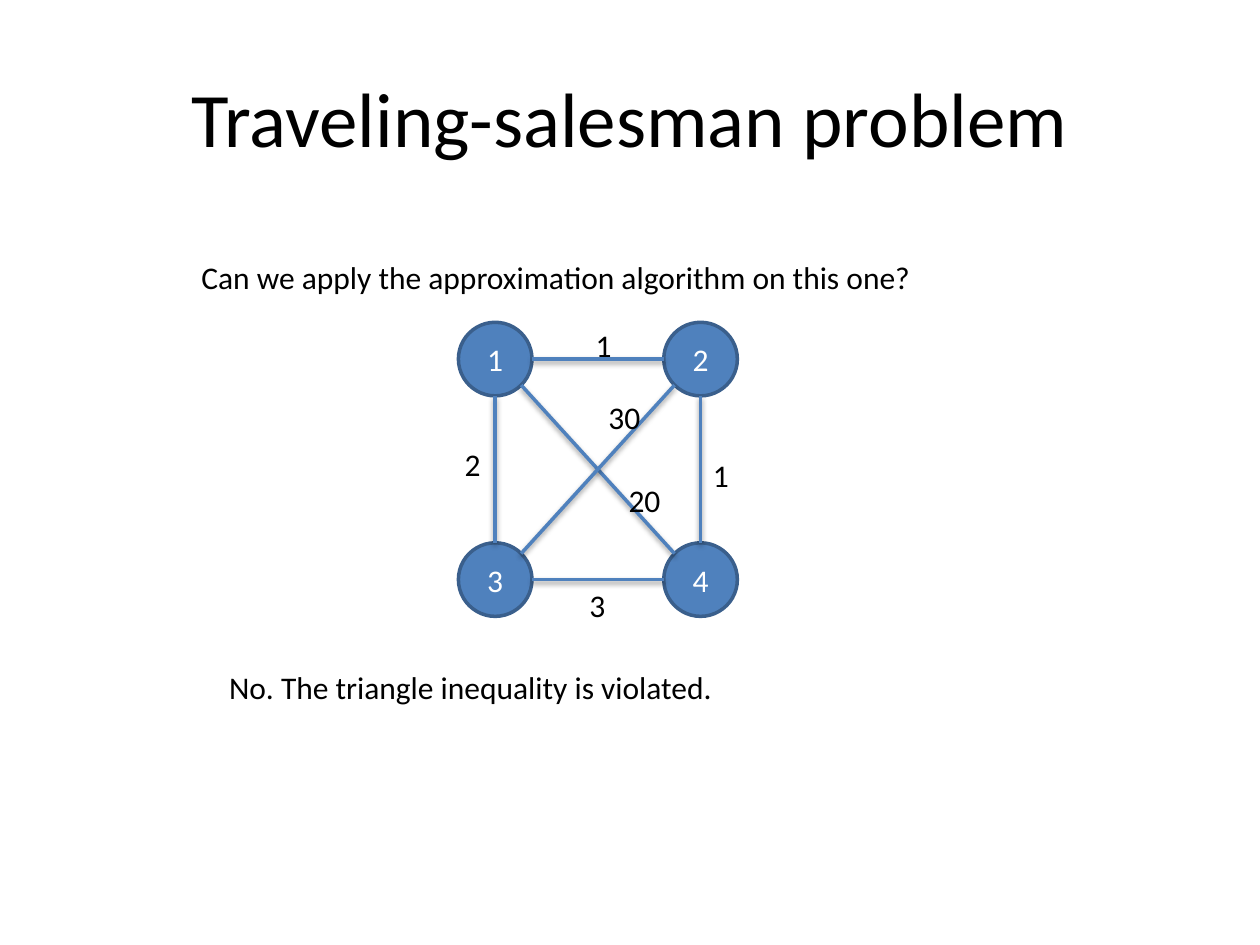
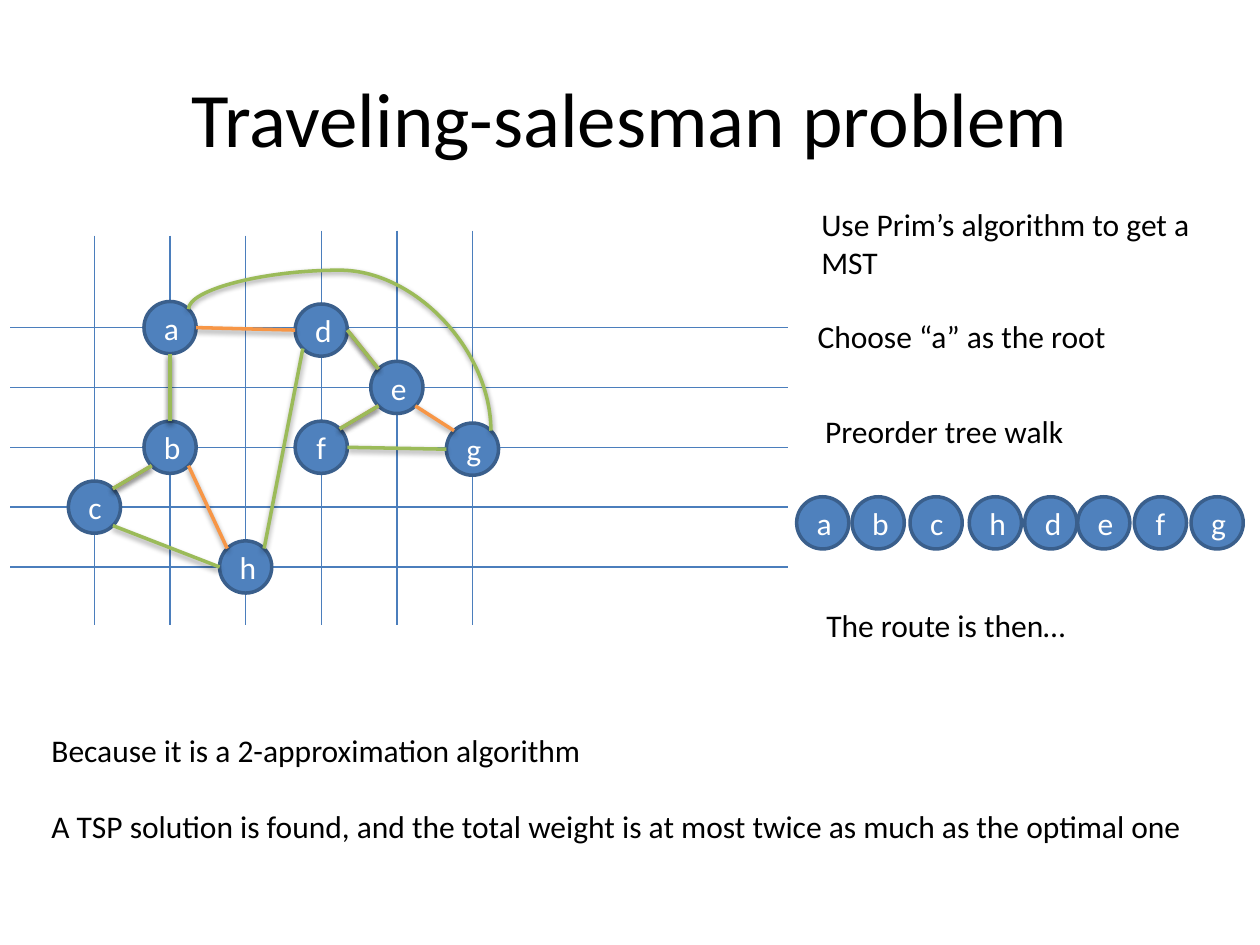
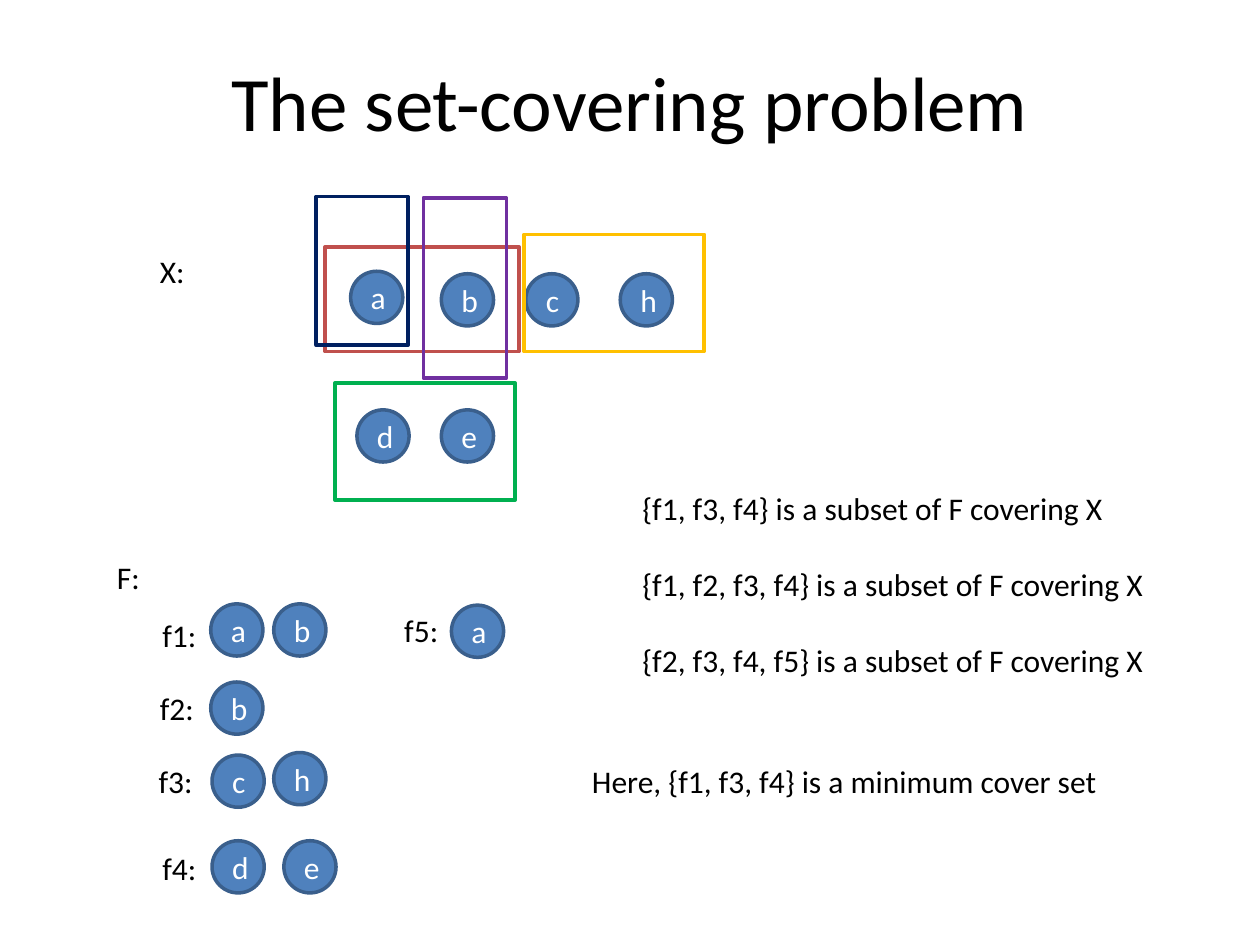
"""Build three slides on the traveling-salesman and set-covering problems."""
import math

import pptx
import pptx.dml.color
import pptx.enum.shapes
import pptx.enum.text
import pptx.oxml
import pptx.oxml.ns
import pptx.util

COLORS = {
    "text": "000000", "label": "FFFFFF", "node": "4F81BD", "rim": "3A5F8C",
    "lattice": "4B7EBC", "tree": "F79646", "route": "9BBB59",
    "f1": "C0504D", "f2": "7030A0", "f3": "FFC000", "f4": "00B050", "f5": "002060",
}
FONT = "Calibri"
COLUMNS, ROWS = 100, 75
COMPASS = {side: math.radians(45 * turn)
           for turn, side in enumerate(["e", "se", "s", "sw", "w", "nw", "n", "ne"])}
SHADOW = (
    '<a:effectLst %s><a:outerShdw blurRad="40000" dist="20000" dir="5400000" rotWithShape="0">'
    '<a:srgbClr val="000000"><a:alpha val="38000"/></a:srgbClr></a:outerShdw></a:effectLst>')
NO_SHADOW = "<a:effectLst %s/>"


class Deck:
    """Hold the shared style and the slide being drawn."""

    def __init__(self):
        self.show = pptx.Presentation()
        self.show.slide_width = pptx.util.Inches(10)
        self.show.slide_height = pptx.util.Inches(7.5)
        self.slide = None

    def grid(self, *lengths):
        """Turn alternating column and row counts into slide lengths."""
        units = (self.show.slide_width / COLUMNS, self.show.slide_height / ROWS)
        return [round(length * units[i % 2]) for i, length in enumerate(lengths)]

    def color(self, name):
        return pptx.dml.color.RGBColor.from_string(COLORS[name])

    def add_words(self, frame, words, size, color, centred):
        frame.word_wrap = True
        paragraph = frame.paragraphs[0]
        if centred:
            paragraph.alignment = pptx.enum.text.PP_ALIGN.CENTER
            frame.vertical_anchor = pptx.enum.text.MSO_ANCHOR.MIDDLE
        run = paragraph.add_run()
        run.text = words
        run.font.name = FONT
        run.font.size = pptx.util.Pt(size)
        run.font.color.rgb = self.color(color)

    def stroke(self, line, color, width=2):
        line.color.rgb = self.color(color)
        line.width = pptx.util.Pt(width)

    def start(self, title, top):
        self.slide = self.show.slides.add_slide(self.show.slide_layouts[6])
        heading = self.slide.shapes.add_textbox(*self.grid(5, top, 90, 12.5))
        self.add_words(heading.text_frame, title, 44, "text", True)

    def text(self, words, left, top, width, height=4):
        box = self.slide.shapes.add_textbox(*self.grid(left, top, width, height))
        self.add_words(box.text_frame, words, 18, "text", False)
        box.text_frame.auto_size = pptx.enum.text.MSO_AUTO_SIZE.SHAPE_TO_FIT_TEXT

    def node(self, label, x, y, radius=2.07):
        """Draw a circle around its centre and return its outline."""
        circle = self.slide.shapes.add_shape(
            pptx.enum.shapes.MSO_SHAPE.OVAL,
            *self.grid(x - radius, y - radius, 2 * radius, 2 * radius))
        circle.shadow.inherit = False
        circle.fill.solid()
        circle.fill.fore_color.rgb = self.color("node")
        self.stroke(circle.line, "rim")
        self.add_words(circle.text_frame, label, 18, "label", True)
        return x, y, radius

    def frame(self, color, left, top, width, height):
        outline = self.slide.shapes.add_shape(
            pptx.enum.shapes.MSO_SHAPE.RECTANGLE, *self.grid(left, top, width, height))
        outline.shadow.inherit = False
        outline.fill.background()
        self.stroke(outline.line, color)

    def line(self, start, end, color, width=2, effect=SHADOW, kind="STRAIGHT"):
        connector = self.slide.shapes.add_connector(
            pptx.enum.shapes.MSO_CONNECTOR[kind], *self.grid(*start, *end))
        self.stroke(connector.line, color, width)
        properties = connector._element.spPr
        properties.append(pptx.oxml.parse_xml(effect % pptx.oxml.ns.nsdecls("a")))
        return properties

    def site(self, node, side):
        x, y, radius = node
        return x + radius * math.cos(COMPASS[side]), y + radius * math.sin(COMPASS[side])

    def edge(self, start, start_side, end, end_side, color):
        self.line(self.site(start, start_side), self.site(end, end_side), color)

    def arch(self, start, end, rise, color):
        """Curve over the top from start to end, rising above the start."""
        (x1, y1), (x2, y2) = start, end
        middle_x, middle_y = (x1 + x2) / 2, (y1 + y2) / 2
        half_span, half_drop = (x2 - x1) / 2, (y2 - y1) / 2
        properties = self.line(
            (middle_x - half_drop, middle_y - half_span),
            (middle_x + half_drop, middle_y + half_span), color, kind="CURVE")
        turn = properties.find(pptx.oxml.ns.qn("a:xfrm"))
        turn.set("rot", "16200000")
        turn.set("flipH", "1")
        adjustments = properties.find(".//" + pptx.oxml.ns.qn("a:avLst"))
        bend = round(-100000 * rise / (y2 - y1))
        adjustments.append(pptx.oxml.parse_xml(
            '<a:gd %s name="adj1" fmla="val %d"/>' % (pptx.oxml.ns.nsdecls("a"), bend)))


def draw_counterexample(deck):
    deck.start("Traveling-salesman problem", 3)
    places = {"3": (39.3, 46), "1": (39.3, 28.5), "2": (55.6, 28.5), "4": (55.6, 46)}
    city = {name: deck.node(name, *place, radius=2.92) for name, place in places.items()}
    for start, start_side, end, end_side in [
            ("1", "s", "3", "n"), ("1", "e", "2", "w"), ("2", "s", "4", "n"),
            ("3", "e", "4", "w"), ("1", "se", "4", "nw"), ("3", "ne", "2", "sw")]:
        deck.edge(city[start], start_side, city[end], end_side, "node")
    for weight, left, top, width in [
            ("2", 35.9, 34.8, 3.3), ("1", 55.6, 35.7, 3.3), ("3", 45.8, 46, 3.3),
            ("30", 47.3, 31.1, 4.6), ("20", 48.9, 37.7, 4.6), ("1", 46.3, 25.4, 3.3)]:
        deck.text(weight, left, top, width)
    deck.text("Can we apply the approximation algorithm on this one?", 15, 20, 60.3)
    deck.text("No. The triangle inequality is violated.", 17.2, 52.5, 60.3)


def draw_approximation(deck):
    deck.start("Traveling-salesman problem", 3)
    deck.text("Use Prim’s algorithm to get a MST", 64.2, 15.8, 33.3, 7.1)
    across = [7.5 + 6 * step for step in range(6)]
    down = [26 + 4.75 * step for step in range(5)]
    for y in down:
        deck.line((0.8, y), (62.5, y), "lattice", 0.75, NO_SHADOW)
    for x in across:
        top = 18.7 if x < across[3] else 18.3
        deck.line((x, top), (x, 49.6), "lattice", 0.75, NO_SHADOW)

    places = {
        "a": (across[1], down[0]), "b": (across[1], down[2]), "c": (across[0], down[3]),
        "d": (across[3], down[0] + 0.2), "e": (across[4], down[1]),
        "f": (across[3], down[2]), "g": (across[5], down[2] + 0.15),
        "h": (across[2], down[4])}
    city = {name: deck.node(name, *place) for name, place in places.items()}
    for start, start_side, end, end_side in [
            ("a", "s", "b", "n"), ("b", "sw", "c", "ne"), ("b", "se", "h", "nw"),
            ("a", "e", "d", "w"), ("d", "e", "e", "nw"), ("e", "se", "g", "nw"),
            ("e", "sw", "f", "ne")]:
        deck.edge(city[start], start_side, city[end], end_side, "tree")

    deck.text("Choose “a” as the root", 63.9, 24.7, 33.3)
    deck.text("Preorder tree walk", 64.5, 32.2, 33.3)
    for name, x in zip("abchdefg", [65.3, 69.7, 74.3, 79, 83.4, 87.6, 92.1, 96.6]):
        deck.node(name, x, 41.5)
    deck.text("The route is then…", 64.6, 47.6, 33.3)
    for start, start_side, end, end_side in [
            ("b", "n", "a", "s"), ("c", "ne", "b", "sw"), ("c", "se", "h", "w"),
            ("h", "ne", "d", "sw"), ("f", "ne", "e", "sw"), ("d", "e", "e", "nw"),
            ("f", "e", "g", "w")]:
        deck.edge(city[start], start_side, city[end], end_side, "route")
    deck.arch(deck.site(city["a"], "ne"), deck.site(city["g"], "ne"), 3.1, "route")
    deck.text("Because it is a 2-approximation algorithm", 3.1, 57.5, 96.9)
    deck.text("A TSP solution is found, and the total weight is at most twice as much "
              "as the optimal one", 3.1, 63.6, 96.9)


def draw_set_cover(deck):
    deck.start("The set-covering problem", 1.7)
    for name, x, y in [("a", 29.9, 23.6), ("b", 37.1, 23.8), ("c", 43.8, 23.8),
                       ("h", 51.3, 23.8), ("d", 30.4, 34.6), ("e", 37.1, 34.6)]:
        deck.node(name, x, y)
    deck.text("X:", 11.7, 19.5, 5.8)
    deck.text("F:", 8.3, 43.8, 5.8)
    for name, left, top, members in [
            ("f1:", 11.9, 48.4, [("a", 18.8, 50), ("b", 23.8, 50)]),
            ("f2:", 11.7, 54.2, [("b", 18.8, 56.2)]),
            ("f3:", 11.6, 60, [("c", 18.9, 62), ("h", 23.8, 61.8)]),
            ("f4:", 11.9, 66.9, [("d", 18.9, 68.8), ("e", 24.6, 68.8)]),
            ("f5:", 31.1, 48, [("a", 37.9, 50.1)])]:
        deck.text(name, left, top, 5.8)
        for member in members:
            deck.node(*member)
    for subset, left, top, width, height in [
            ("f1", 25.8, 19.6, 15.4, 8.3), ("f2", 33.6, 15.7, 6.6, 14.3),
            ("f3", 41.6, 18.6, 14.3, 9.3), ("f4", 26.6, 30.4, 14.3, 9.3),
            ("f5", 25.1, 15.6, 7.3, 11.8)]:
        deck.frame(subset, left, top, width, height)
    for step, cover in enumerate(["f1, f3, f4", "f1, f2, f3, f4", "f2, f3, f4, f5"]):
        deck.text("{%s} is a subset of F covering X" % cover, 50, 38.3 + 6.05 * step, 45)
    deck.text("Here, {f1, f3, f4} is a minimum cover set", 46, 60, 46.3)


deck = Deck()
draw_counterexample(deck)
draw_approximation(deck)
draw_set_cover(deck)
deck.show.save("out.pptx")
